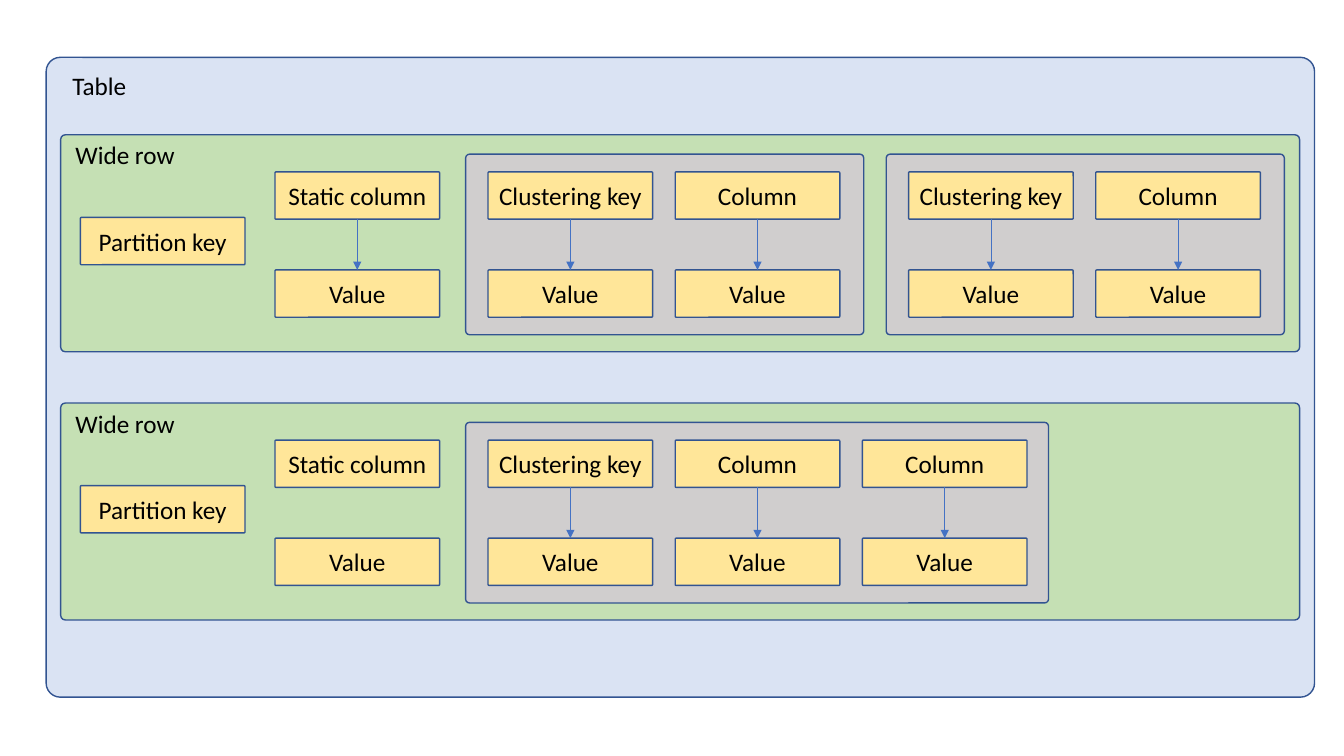
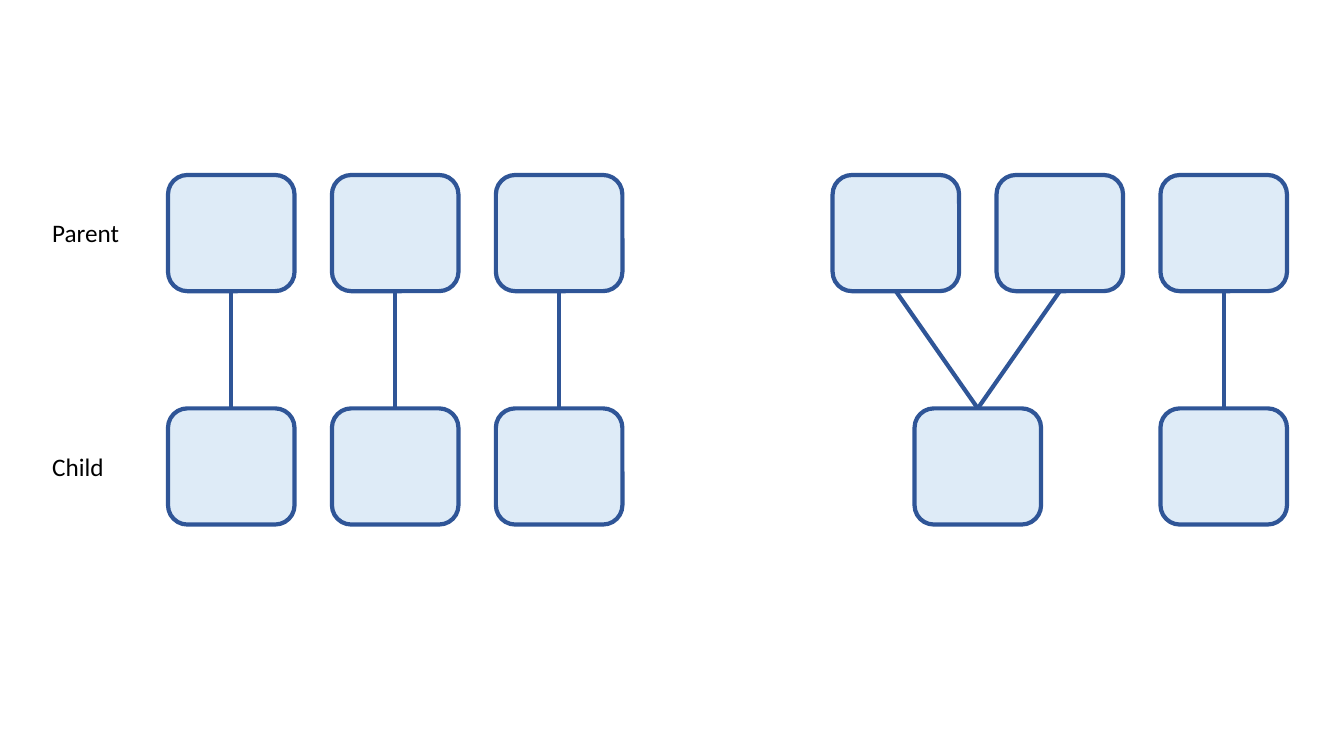
from lxml import etree
from pptx import Presentation
from pptx.dml.color import RGBColor
from pptx.enum import shapes, text
from pptx.oxml.ns import qn
from pptx.util import Pt

COLORS = {
    "table": "DAE3F3", "row": "C5E0B4", "cell": "FFE699", "group": "D0CECE",
    "outline": "325491", "arrow": "4472C4",
    "node": "DEEBF7", "node_line": "2F5597", "text": "000000",
}
FONT, FONT_SIZE = "Calibri", Pt(18)
BOTTOM_SITE, TOP_SITE = 2, 0


def add_box(slide, left, top, width, height, fill, caption="",
            line="outline", weight=1, corner=0.022):
    shape = slide.shapes.add_shape(shapes.MSO_SHAPE.ROUNDED_RECTANGLE,
                                   Pt(left), Pt(top), Pt(width), Pt(height))
    shape.adjustments[0] = corner
    shape.shadow.inherit = False
    shape.fill.solid()
    shape.fill.fore_color.rgb = RGBColor.from_string(COLORS[fill])
    shape.line.color.rgb = RGBColor.from_string(COLORS[line])
    shape.line.width = Pt(weight)
    if caption:
        shape.text_frame.vertical_anchor = text.MSO_ANCHOR.MIDDLE
        paragraph = shape.text_frame.paragraphs[0]
        paragraph.text = caption
        paragraph.alignment = text.PP_ALIGN.CENTER
        paragraph.font.name, paragraph.font.size = FONT, FONT_SIZE
        paragraph.font.color.rgb = RGBColor.from_string(COLORS["text"])
    return shape


def join(slide, upper, lower, color, weight, arrow=False):
    connector = slide.shapes.add_connector(shapes.MSO_CONNECTOR.STRAIGHT, 0, 0, 0, 0)
    connector.begin_connect(upper, BOTTOM_SITE)
    connector.end_connect(lower, TOP_SITE)
    connector.line.color.rgb = RGBColor.from_string(COLORS[color])
    connector.line.width = Pt(weight)
    if arrow:
        etree.SubElement(connector.line._get_or_add_ln(), qn("a:tailEnd"), type="triangle")
    etree.SubElement(connector._element.spPr, qn("a:effectLst"))


presentation = Presentation()
presentation.slide_width, presentation.slide_height = Pt(960), Pt(540)
blank = presentation.slide_layouts[6]
table_slide = presentation.slides.add_slide(blank)
tree_slide = presentation.slides.add_slide(blank)
labels = [(table_slide, "Table", 44.6, 46.8, 53.3)]

CELL_WIDTH, CELL_HEIGHT, CELL_PITCH = 117.6, 33.8, 133.7
STATIC_LEFT, GROUP_PADDING = 196.4, 16
wide_rows = [
    (96.3, True, [(332.6, 284.4, ["Clustering key", "Column"]),
                  (633, 284.4, ["Clustering key", "Column"])]),
    (287.9, False, [(332.6, 416.4, ["Clustering key", "Column", "Column"])]),
]
add_box(table_slide, 33, 41, 906, 457, "table")
for row_top, static_arrow, groups in wide_rows:
    add_box(table_slide, 43.3, row_top, 885, 155, "row")
    labels.append((table_slide, "Wide row", 46.8, row_top, 86.4))
    add_box(table_slide, 57.4, row_top + 59, CELL_WIDTH, CELL_HEIGHT, "cell", "Partition key")
    columns = [(STATIC_LEFT, "Static column", static_arrow)]
    for group_left, group_width, names in groups:
        add_box(table_slide, group_left, row_top + 13.8, group_width, 129, "group")
        for index, name in enumerate(names):
            columns.append((group_left + GROUP_PADDING + index * CELL_PITCH, name, True))
    for left, name, has_arrow in columns:
        head = add_box(table_slide, left, row_top + 26.5, CELL_WIDTH, CELL_HEIGHT, "cell", name)
        value = add_box(table_slide, left, row_top + 96.5, CELL_WIDTH, CELL_HEIGHT, "cell", "Value")
        if has_arrow:
            join(table_slide, head, value, "arrow", 0.5, arrow=True)

NODE_WIDTH, NODE_HEIGHT, NODE_PITCH = 90.4, 83, 117.1
PARENT_TOP, CHILD_TOP = 125, 291.7
trees = [
    (120, [0, 1, 2], [(0, 0), (1, 1), (2, 2)]),
    (594.7, [0.5, 2], [(0, 0), (1, 0), (2, 1)]),
]
for tree_left, child_slots, links in trees:
    parents, children = [
        [add_box(tree_slide, tree_left + slot * NODE_PITCH, top, NODE_WIDTH, NODE_HEIGHT,
                 "node", line="node_line", weight=3, corner=0.16667) for slot in slots]
        for top, slots in [(PARENT_TOP, range(3)), (CHILD_TOP, child_slots)]
    ]
    for parent, child in links:
        join(tree_slide, parents[parent], children[child], "node_line", 3)
labels += [(tree_slide, "Parent", 30.2, 152, 62.6), (tree_slide, "Child", 30.2, 318.5, 51.8)]

for slide, caption, left, top, width in labels:
    label = slide.shapes.add_textbox(Pt(left), Pt(top), Pt(width), Pt(29))
    label.text_frame.word_wrap = False
    paragraph = label.text_frame.paragraphs[0]
    paragraph.text = caption
    paragraph.font.name, paragraph.font.size = FONT, FONT_SIZE
    paragraph.font.color.rgb = RGBColor.from_string(COLORS["text"])

presentation.save("out.pptx")
